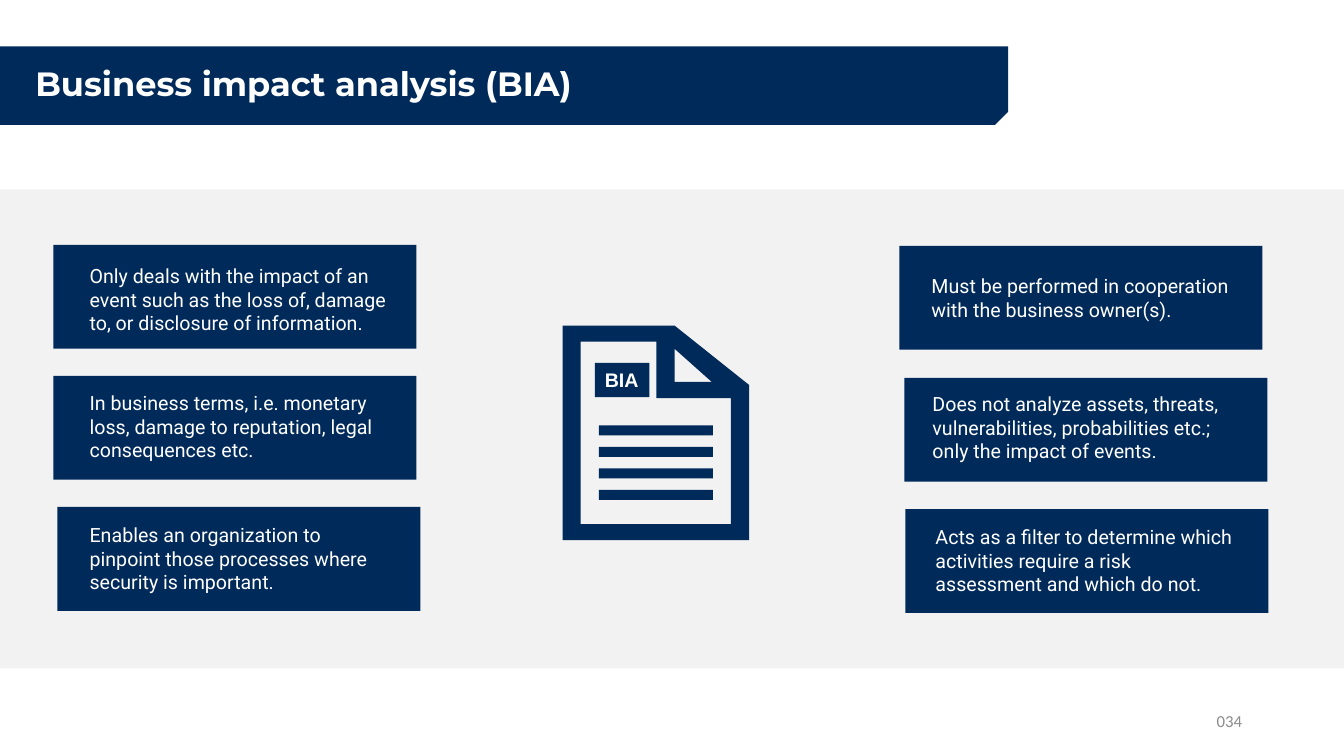
from pptx import Presentation
from pptx import util as u
from pptx.dml import color
from pptx.enum import shapes, text

NAVY, PALE, WHITE, GREY = "002A5A", "F2F2F2", "FFFFFF", "8C8C8C"

CARDS = [
    (0.53, 2.43, 0.79, 2.57, "Only deals with the impact of an event such as the loss of, "
     "damage to, or disclosure of information."),
    (0.53, 3.73, 0.79, 3.83, "In business terms, i.e. monetary loss, damage to reputation, "
     "legal consequences etc."),
    (0.57, 5.03, 0.79, 5.14, "Enables an organization to pinpoint those processes where "
     "security is important."),
    (8.92, 2.44, 9.14, 2.67, "Must be performed in cooperation with the business owner(s)."),
    (8.97, 3.75, 9.15, 3.84, "Does not analyze assets, threats, vulnerabilities, "
     "probabilities etc.; only the impact of events."),
    (8.98, 5.05, 9.18, 5.16, "Acts as a filter to determine which activities require a risk "
     "assessment and which do not."),
]

PAGE_OUTLINE = [
    [(5.76, 5.2), (5.76, 3.39), (6.51, 3.39), (6.51, 3.95), (7.25, 3.95), (7.25, 5.2)],
    [(6.69, 3.46), (7.06, 3.79), (6.69, 3.79)],
    [(6.69, 3.23), (5.58, 3.23), (5.58, 5.36), (7.43, 5.36), (7.43, 3.82)],
]


def rgb(value):
    return color.RGBColor.from_string(value)


class SlideBuilder:
    """Draws styled elements on the current slide."""

    def __init__(self, presentation):
        self.slide = presentation.slides.add_slide(presentation.slide_layouts[5])
        self.shapes = self.slide.shapes

    def paint(self, shape, fill):
        shape.shadow.inherit = False
        shape.fill.solid()
        shape.fill.fore_color.rgb = rgb(fill)
        shape.line.fill.background()
        return shape

    def rectangle(self, left, top, width, height, fill=NAVY):
        shape = self.shapes.add_shape(
            shapes.MSO_SHAPE.RECTANGLE,
            *map(u.Inches, (left, top, width, height)))
        return self.paint(shape, fill)

    def banner(self, left, top, width, height, fill, snip):
        shape = self.shapes.add_shape(
            shapes.MSO_SHAPE.SNIP_ROUND_RECTANGLE,
            *map(u.Inches, (left, top, width, height)))
        shape.adjustments[0] = 0
        shape.adjustments[1] = snip
        shape._element.spPr.xfrm.set("flipV", "1")
        return self.paint(shape, fill)

    def outline(self, contours, fill=NAVY):
        points = [[(u.Inches(x), u.Inches(y)) for x, y in contour] for contour in contours]
        builder = self.shapes.build_freeform(*points[0][0])
        builder.add_line_segments(points[0][1:], close=True)
        for contour in points[1:]:
            builder.move_to(*contour[0])
            builder.add_line_segments(contour[1:], close=True)
        return self.paint(builder.convert_to_shape(), fill)

    def set_words(self, shape, words, size, font, fill=WHITE, bold=False,
                  align=text.PP_ALIGN.LEFT, anchor=text.MSO_ANCHOR.TOP, wrap=True):
        frame = shape.text_frame
        frame.text = words
        frame.word_wrap = wrap
        frame.auto_size = text.MSO_AUTO_SIZE.NONE
        frame.vertical_anchor = anchor
        paragraph = frame.paragraphs[0]
        paragraph.alignment = align
        style = paragraph.runs[0].font
        style.size, style.name, style.bold = u.Pt(size), font, bold
        style.color.rgb = rgb(fill)
        return paragraph

    def label(self, left, top, width, height, words, size, font, **options):
        box = self.shapes.add_textbox(*map(u.Inches, (left, top, width, height)))
        return self.set_words(box, words, size, font, **options)

    def title(self, left, top, width, height, words):
        title = self.shapes.title
        title.left, title.top, title.width, title.height = map(
            u.Inches, (left, top, width, height))
        self.shapes._spTree.append(title._element)
        paragraph = self.set_words(title, words, 24, "Montserrat", bold=True,
                                   anchor=text.MSO_ANCHOR.MIDDLE)
        paragraph.line_spacing = 0.9
        paragraph.space_before = u.Pt(0)

    def card(self, left, top, text_left, text_top, words):
        self.rectangle(left, top, 3.6, 1.03)
        self.label(text_left, text_top, 3.15, 0.81, words, 14, "Roboto")


def main():
    presentation = Presentation()
    presentation.slide_width = u.Inches(13.33)
    presentation.slide_height = u.Inches(7.5)
    builder = SlideBuilder(presentation)

    builder.banner(0, 1.88, 13.33, 4.75, PALE, 0)
    builder.banner(0, 0.46, 10, 0.78, NAVY, 0.17)
    builder.title(0.25, 0.46, 9.5, 0.78, "Business impact analysis (BIA)")

    builder.outline(PAGE_OUTLINE)
    for row in range(4):
        builder.rectangle(5.94, 4.22 + row * 0.64 / 3, 1.13, 0.1)
    badge = builder.rectangle(5.9, 3.6, 0.54, 0.34)
    builder.set_words(badge, "BIA", 14, "Arial", bold=True, wrap=False)

    for card in CARDS:
        builder.card(*card)
    builder.label(9.42, 6.95, 3, 0.4, "034", 12, "Calibri", fill=GREY,
                  align=text.PP_ALIGN.RIGHT, anchor=text.MSO_ANCHOR.MIDDLE)
    presentation.save("out.pptx")


if __name__ == "__main__":
    main()
